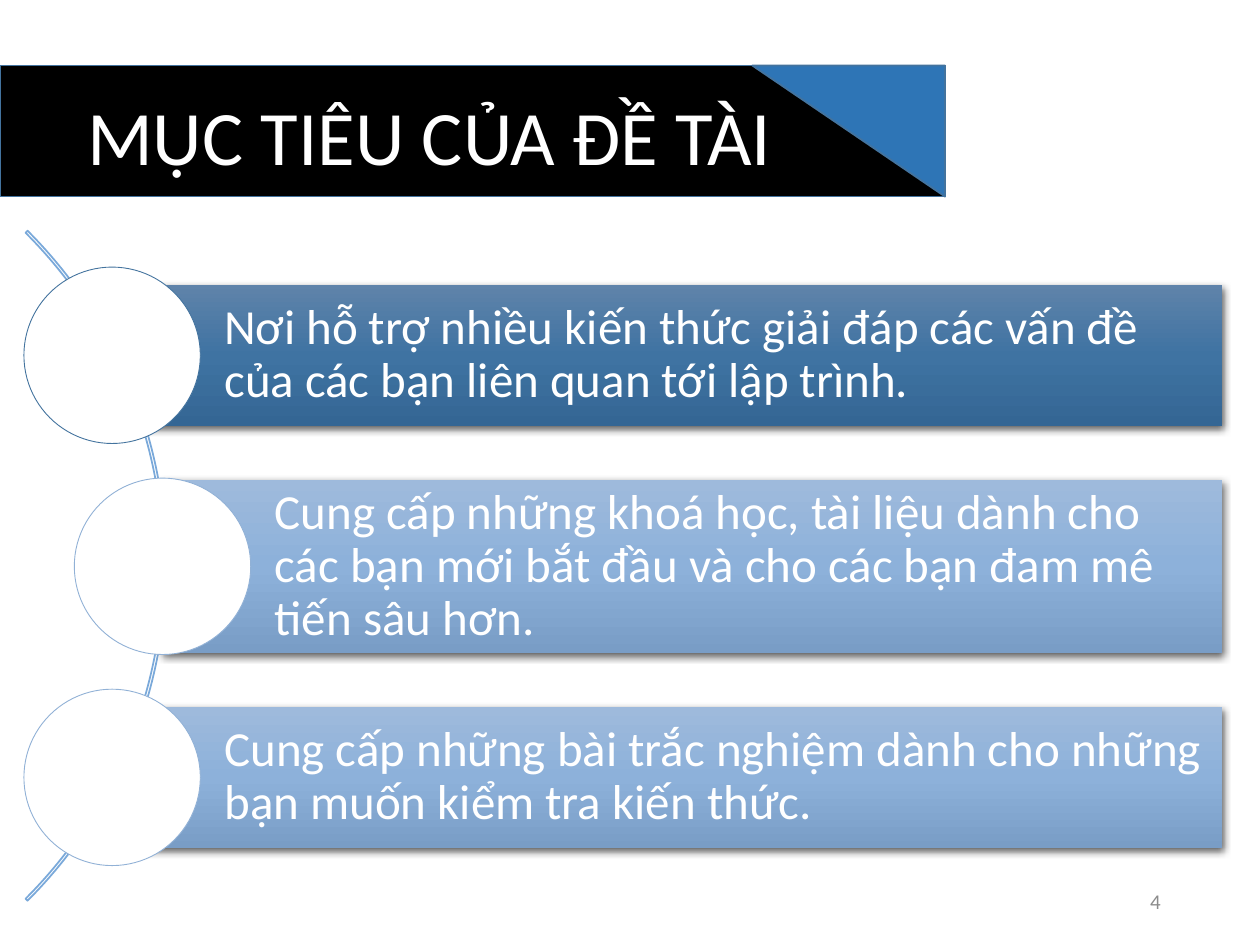
from copy import deepcopy

from lxml import etree
from pptx import Presentation
from pptx.dml.color import RGBColor
from pptx.enum import shapes, text
from pptx.oxml.ns import qn
from pptx.util import Inches, Pt

TITLE = "MỤC TIÊU CỦA ĐỀ TÀI"
PAGE = "4"
FONT = "Calibri"
COLORS = {
    "black": "000000", "white": "FFFFFF", "accent": "2E75B6",
    "outline": "43739E", "pale": "91B1D6", "arc": "7AA9DA", "page": "8C8C8C",
}
DARK = ("5F83AA", "3F73A2", "346694")
LIGHT = ("9EBADC", "8DB1DA", "799DC6")

# Goal: wording, circle left, bar height, bar gradient, circle outline
GOALS = [
    ("Nơi hỗ trợ nhiều kiến thức giải đáp các vấn đề của các bạn liên quan tới lập trình.",
     0.19, 1.12, DARK, "outline"),
    ("Cung cấp những khoá học, tài liệu dành cho các bạn mới bắt đầu và cho các bạn "
     "đam mê tiến sâu hơn.", 0.59, 1.37, LIGHT, "pale"),
    ("Cung cấp những bài trắc nghiệm dành cho những bạn muốn kiểm tra kiến thức.",
     0.19, 1.12, LIGHT, "pale"),
]
CIRCLE = 1.4
FIRST_CENTER, STEP = 2.82, 1.675
BAR_RIGHT = 9.7

KIND = shapes.MSO_SHAPE
ALIGN = text.PP_ALIGN
MIDDLE = text.MSO_ANCHOR.MIDDLE

deck = Presentation()
deck.slide_width, deck.slide_height = Inches(10), Inches(7.5)
slide = deck.slides.add_slide(deck.slide_layouts[6])


def rgb(name):
    return RGBColor.from_string(COLORS.get(name, name))


def add_part(kind, box, fill=None, line=None, width=1):
    part = slide.shapes.add_shape(kind, *map(Inches, box))
    part.shadow.inherit = False
    if fill:
        part.fill.solid()
        part.fill.fore_color.rgb = rgb(fill)
    else:
        part.fill.background()
    if line:
        part.line.color.rgb = rgb(line)
        part.line.width = Pt(width)
    else:
        part.line.fill.background()
    return part


def write(part, words, size, color, align, spacing=1.0, **frame_format):
    frame = part.text_frame
    for key, value in frame_format.items():
        setattr(frame, key, value)
    paragraph = frame.paragraphs[0]
    paragraph.alignment = align
    paragraph.line_spacing = spacing
    run = paragraph.add_run()
    run.text = words
    run.font.name, run.font.size = FONT, Pt(size)
    run.font.color.rgb = rgb(color)


def shade(bar, tones):
    """Three-stop vertical gradient with a soft shadow below."""
    bar.fill.gradient()
    bar.fill.gradient_angle = 270
    stops = bar._element.spPr.find(qn("a:gradFill")).find(qn("a:gsLst"))
    stops.append(deepcopy(stops[-1]))
    for stop, tone, position in zip(bar.fill.gradient_stops, tones, (0, 0.5, 1)):
        stop.color.rgb = rgb(tone)
        stop.position = position
    effects = bar._element.spPr.find(qn("a:effectLst"))
    shadow = etree.SubElement(effects, qn("a:outerShdw"), blurRad=str(Pt(4.5)),
                              dist=str(Pt(1.5)), dir="5400000", rotWithShape="0")
    color = etree.SubElement(shadow, qn("a:srgbClr"), val=COLORS["black"])
    etree.SubElement(color, qn("a:alpha"), val="63000")


# Title banner
add_part(KIND.RECTANGLE, (0, 0.52, 7.5, 1.04), "black", "outline")
corner = add_part(KIND.RIGHT_TRIANGLE, (5.97, 0.52, 1.53, 1.04), "accent", "outline")
corner.rotation = 180
title = slide.shapes.add_textbox(*map(Inches, (0.56, 0.65, 5.7, 0.84)))
write(title, TITLE, 44, "white", ALIGN.CENTER, word_wrap=False)

# Page number
page = slide.shapes.add_textbox(*map(Inches, (7.06, 6.95, 2.25, 0.4)))
write(page, PAGE, 12, "page", ALIGN.RIGHT, word_wrap=True, vertical_anchor=MIDDLE)

# Arc that links the goals
arc = add_part(KIND.BLOCK_ARC, (-6.2, 0.73, 7.52, 7.52), line="arc")
for index, value in enumerate((189, 27, 0.003)):
    arc.adjustments[index] = value

# Goals: a bar starting at the middle of its circle
for row, (words, left, height, tones, outline) in enumerate(GOALS):
    center = FIRST_CENTER + row * STEP
    bar_left = left + CIRCLE / 2
    bar = add_part(KIND.RECTANGLE,
                   (bar_left, center - height / 2, BAR_RIGHT - bar_left, height))
    shade(bar, tones)
    write(bar, words, 28, "white", ALIGN.LEFT, 0.9, word_wrap=True,
          vertical_anchor=MIDDLE, margin_left=Inches(0.89), margin_right=Inches(0.08),
          margin_top=Inches(0.08), margin_bottom=Inches(0.08))
    add_part(KIND.OVAL, (left, center - CIRCLE / 2, CIRCLE, CIRCLE),
             "white", outline, 0.5)

deck.save("out.pptx")
